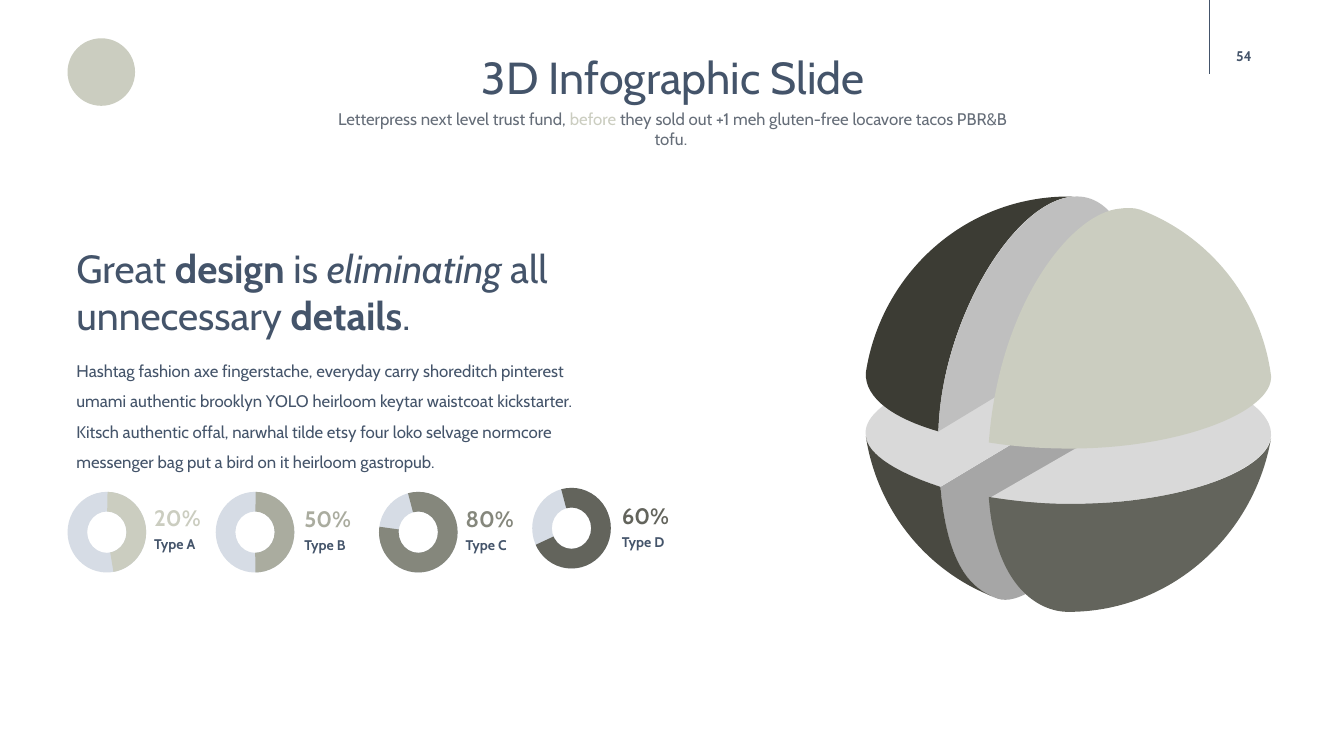
from itertools import islice

from lxml import etree
from pptx import Presentation
from pptx import util as u
from pptx.dml.color import RGBColor
from pptx.enum import shapes, text
from pptx.oxml import ns

NAVY, SAGE, PALE, DARK = "44546A", "CBCDC0", "D6DCE5", "63645C"

SPHERE = [
    ("A6A6A6", (11.27, 3.97), [(11.28, 3.86, 11.3, 3.75, 11.3, 3.65), (9.33, 4.83),
                               (9.39, 5.57, 9.62, 5.85, 9.9, 5.94),
                               (10.27, 6.06, 11.11, 5.17, 11.27, 3.97)]),
    ("D9D9D9", (11.3, 3.65), [(11.1, 3.62, 10.87, 3.61, 10.61, 3.61),
                              (9.33, 3.61, 8.54, 4, 8.59, 4.32),
                              (8.61, 4.51, 8.89, 4.69, 9.33, 4.83)]),
    ("494941", (9.33, 4.83), [(8.9, 4.69, 8.61, 4.51, 8.59, 4.33),
                              (8.7, 5.05, 9.18, 5.65, 9.83, 5.91),
                              (9.58, 5.8, 9.39, 5.51, 9.33, 4.83)]),
    ("D9D9D9", (12.61, 4.32), [(12.62, 4.12, 12.37, 3.9, 11.87, 3.76), (9.82, 4.94),
                               (10.06, 4.97, 10.33, 5, 10.61, 5),
                               (11.72, 5, 12.59, 4.66, 12.61, 4.32)]),
    (DARK, (10.61, 5), [(10.33, 5, 10.06, 4.97, 9.81, 4.93),
                        (9.87, 5.8, 10.29, 6.07, 10.6, 6.07),
                        (11.61, 6.07, 12.44, 5.32, 12.61, 4.35),
                        (12.55, 4.68, 11.7, 5, 10.61, 5)]),
    ("3C3C34", (10.6, 1.95), [(9.58, 1.95, 8.74, 2.71, 8.59, 3.7),
                              (8.58, 3.95, 8.86, 4.15, 9.31, 4.28),
                              (9.34, 3.19, 10.05, 1.99, 10.65, 1.95)]),
    ("BFBFBF", (9.31, 4.28), [(11.31, 3.07), (11.27, 2.35, 11.02, 1.93, 10.66, 1.95),
                              (10.06, 1.98, 9.34, 3.19, 9.31, 4.28)]),
    (SAGE, (12.61, 3.73), [(12.51, 2.97, 12, 2.34, 11.31, 2.08),
                           (11.25, 2.06, 11.18, 2.06, 11.11, 2.07),
                           (10.63, 2.11, 9.91, 3.02, 9.81, 4.39),
                           (10.06, 4.43, 10.34, 4.45, 10.61, 4.45),
                           (11.72, 4.45, 12.63, 4.08, 12.61, 3.73)]),
]

TYPES = [
    ("Type A", "20%", SAGE, (0.67, 4.88), (1.53, 5.03), (271, 80.55)),
    ("Type B", "50%", "AAAC9F", (2.14, 4.88), (3.02, 5.04), (271, 89.44)),
    ("Type C", "80%", "85877C", (3.76, 4.88), (4.62, 5.04), (255.2, 187.9)),
    ("Type D", "60%", DARK, (5.28, 4.84), (6.17, 5.01), (255.2, 155.1)),
]


def color(value):
    return RGBColor.from_string(value)


class InfographicSlide:
    font = "Cabin"

    def __init__(self, deck):
        self.shapes = deck.slides.add_slide(deck.slide_layouts[6]).shapes

    def paint(self, shape, fill):
        shape.shadow.inherit = False
        shape.fill.solid()
        shape.fill.fore_color.rgb = color(fill)
        shape.line.fill.background()

    def preset(self, kind, box, fill, adjustments=()):
        shape = self.shapes.add_shape(kind, *map(u.Inches, box))
        for index, value in enumerate(adjustments):
            shape.adjustments[index] = value
        self.paint(shape, fill)

    def outline(self, fill, start, segments):
        points = [(u.Inches(segment[i]), u.Inches(segment[i + 1]))
                  for segment in segments for i in range(0, len(segment), 2)]
        builder = self.shapes.build_freeform(*map(u.Inches, start))
        builder.add_line_segments(points, close=True)
        piece = builder.convert_to_shape()
        contour = next(piece._element.iter(ns.qn("a:path")))
        nodes = iter(contour.findall(ns.qn("a:lnTo")))
        for segment in segments:
            curve, *rest = islice(nodes, len(segment) // 2)
            if rest:
                curve.tag = ns.qn("a:cubicBezTo")
            for node in rest:
                curve.append(node[0])
                contour.remove(node)
        self.paint(piece, fill)

    def rule(self, start, end, tint, width):
        line = self.shapes.add_connector(shapes.MSO_CONNECTOR.STRAIGHT,
                                         *map(u.Inches, start + end))
        line.line.color.rgb = color(tint)
        line.line.width = u.Pt(width)
        etree.SubElement(line._element.spPr, ns.qn("a:effectLst"))

    def text(self, box, runs, size, tint=NAVY, bold=False, inset=True, frame=None, paragraph=None):
        body = self.shapes.add_textbox(*map(u.Inches, box)).text_frame
        margins = {} if inset else dict.fromkeys(
            ("margin_left", "margin_top", "margin_right", "margin_bottom"), 0)
        for name, value in {"word_wrap": True, **margins, **(frame or {})}.items():
            setattr(body, name, value)
        line = body.paragraphs[0]
        for name, value in (paragraph or {}).items():
            setattr(line, name, value)
        for words, changes in runs:
            run = line.add_run()
            run.text = words
            style = {"name": self.font, "size": u.Pt(size), "bold": bold, **changes}
            run.font.color.rgb = color(style.pop("tint", tint))
            for name, value in style.items():
                setattr(run.font, name, value)

    def share(self, label, percent, tint, ring, caption, angles):
        box = ring + (0.78, 0.8)
        self.preset(shapes.MSO_SHAPE.DONUT, box, PALE)
        self.preset(shapes.MSO_SHAPE.BLOCK_ARC, box, tint,
                    [angle * 0.6 for angle in angles] + [0.25])
        left, top = caption
        tight = {"line_spacing": 0.9}
        self.text((left, top, 0.49, 0.29), [(percent, {})], 16, tint, True, False,
                  paragraph=tight)
        self.text((left, top + 0.3, 0.49, 0.23), [(label, {})], 10, NAVY, True, False,
                  paragraph=tight)


def main():
    deck = Presentation()
    deck.slide_width, deck.slide_height = u.Inches(40 / 3), u.Inches(7.5)
    slide = InfographicSlide(deck)
    centered = {"alignment": text.PP_ALIGN.CENTER}
    growing = {"auto_size": text.MSO_AUTO_SIZE.SHAPE_TO_FIT_TEXT}

    slide.preset(shapes.MSO_SHAPE.OVAL, (0.67, 0.38, 0.67, 0.67), SAGE)
    slide.rule((12, 0), (12, 0.73), NAVY, 1)
    slide.text((11.94, 0.36, 0.8, 0.4), [("54", {})], 10, bold=True, inset=False,
               frame={"vertical_anchor": text.MSO_ANCHOR.MIDDLE}, paragraph=centered)
    slide.text((2.55, 0.44, 8.26, 0.64), [("3D Infographic Slide", {})], 32,
               frame=growing, paragraph=centered)
    slide.text((3.2, 1.03, 6.95, 0.3),
               [("Letterpress next level trust fund, ", {}), ("before", {"tint": SAGE}),
                (" they sold out +1 meh gluten-free locavore tacos PBR&B tofu. ", {})],
               12, "656D78", frame=growing, paragraph=centered)

    for fill, start, segments in SPHERE:
        slide.outline(fill, start, segments)

    slide.text((0.66, 2.37, 5.46, 1.04),
               [("Great ", {}), ("design", {"bold": True}), (" is ", {}),
                ("eliminating", {"italic": True}), (" all unnecessary ", {}),
                ("details", {"bold": True}), (".", {})], 28, frame=growing)
    slide.text((0.66, 3.43, 5.32, 1.31),
               [("Hashtag fashion axe fingerstache, everyday carry shoreditch pinterest "
                 "umami authentic brooklyn YOLO heirloom keytar waistcoat kickstarter. "
                 "Kitsch authentic offal, narwhal tilde etsy four loko selvage normcore "
                 "messenger bag put a bird on it heirloom gastropub.", {})],
               12, frame=growing, paragraph={"line_spacing": 1.5})

    for entry in TYPES:
        slide.share(*entry)
    deck.save("out.pptx")


if __name__ == "__main__":
    main()
